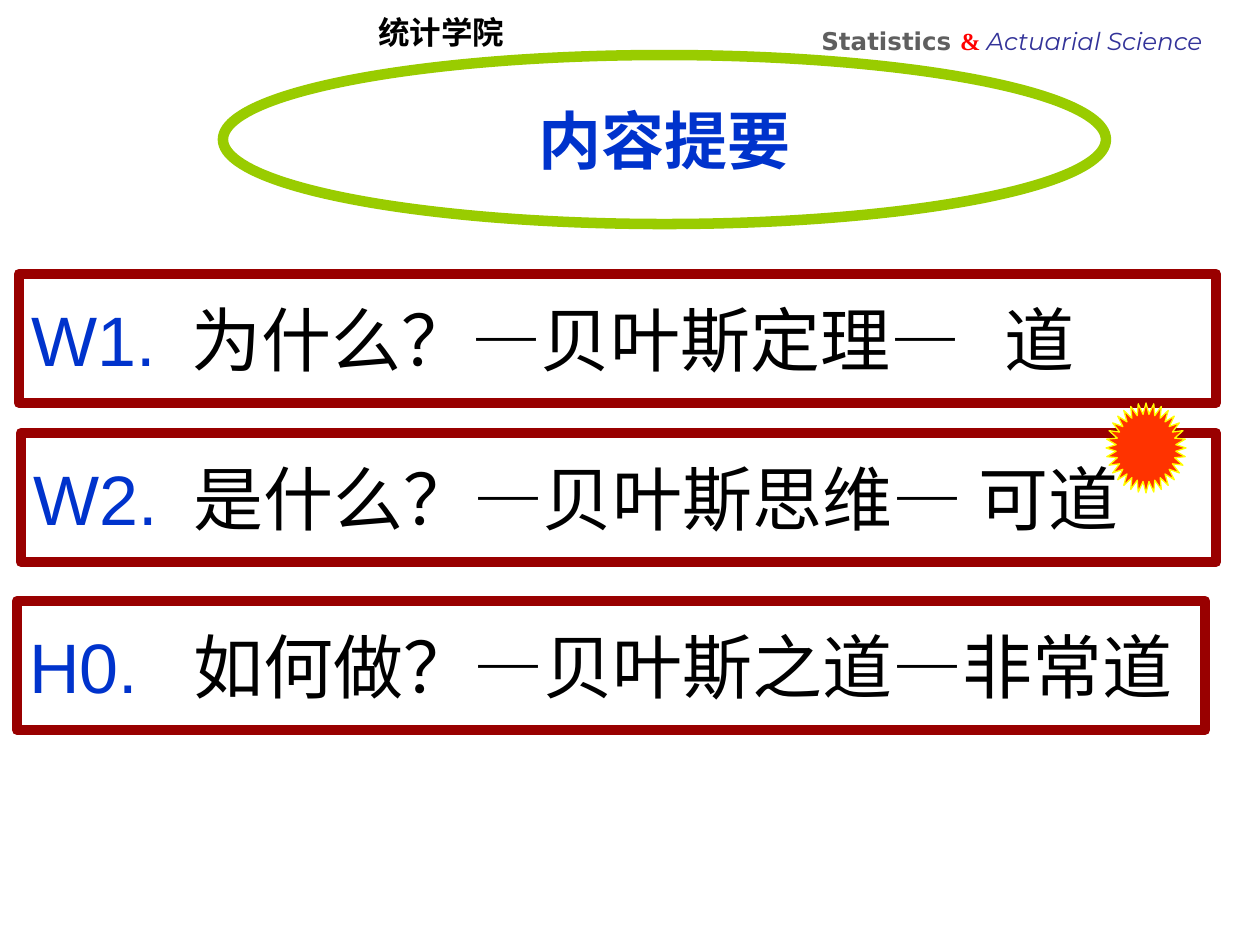
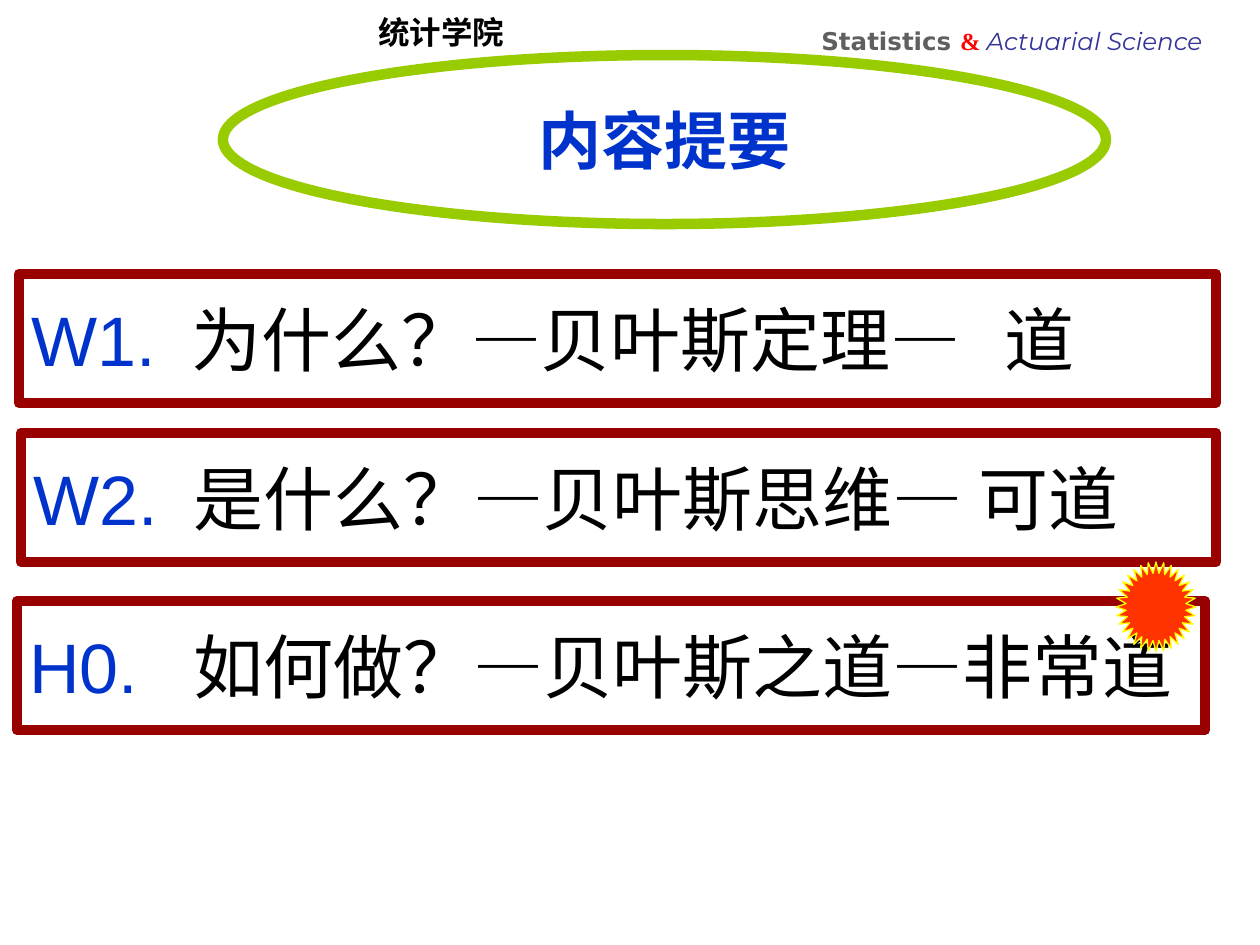
from lxml.etree import SubElement
from pptx import Presentation
from pptx.dml.color import RGBColor
from pptx.enum.shapes import MSO_SHAPE
from pptx.enum.text import MSO_ANCHOR, MSO_AUTO_SIZE, PP_ALIGN
from pptx.oxml.ns import qn
from pptx.util import Emu, Pt

SCALE = 914400 / 126
COLORS = {
    "blue": "0033CC",
    "black": "000000",
    "green": "99CC00",
    "dark red": "990000",
    "orange": "FF3300",
    "yellow": "FFFF00",
    "gray": "5F5F5F",
    "red": "FF0000",
    "indigo": "333399",
}

TITLE = "内容提要"
TITLE_BOX = (223, 55, 883, 169)
SCHOOL = "统计学院"
SCHOOL_BOX = (372, 9, 139, 45)
DEPARTMENT = [
    ("Statistics ", "DejaVu Sans", "gray", True, False),
    ("& ", "Times New Roman", "red", True, False),
    ("Actuarial Science", "Montserrat", "indigo", False, True),
]
DEPARTMENT_BOX = (809, 20, 426, 43)

ROW_HEIGHT = 129
TOPICS = [
    ("W1.", "为什么？—贝叶斯定理—\t道", (19, 274, 1197), (160, 973)),
    ("W2.", "是什么？—贝叶斯思维— 可道", (21, 433, 1195), (160,)),
    ("H0.", "如何做？—贝叶斯之道—非常道", (17, 601, 1188), (164,)),
]

BURST_SIZE = (80, 90)
BURST_POSITIONS = [(1106, 403), (1116, 562)]


def px(value):
    return Emu(round(value * SCALE))


def color(name):
    return RGBColor.from_string(COLORS[name])


def place(shape, box):
    shape.left, shape.top, shape.width, shape.height = map(px, box)


def style(font, size, name, color_name, bold=False, italic=False):
    font.size = Pt(size)
    font.name = name
    font.color.rgb = color(color_name)
    font.bold = bold
    font.italic = italic


def set_frame(shape, anchor=MSO_ANCHOR.MIDDLE, wrap=True):
    frame = shape.text_frame
    frame.auto_size = MSO_AUTO_SIZE.NONE
    frame.word_wrap = wrap
    frame.vertical_anchor = anchor
    return frame.paragraphs[0]


def add_figure(slide, kind, box, line, width, fill=None):
    shape = slide.shapes.add_shape(kind, *map(px, box))
    shape.shadow.inherit = False
    if fill:
        shape.fill.solid()
        shape.fill.fore_color.rgb = color(fill)
    else:
        shape.fill.background()
    shape.line.color.rgb = color(line)
    shape.line.width = Pt(width)
    return shape


def add_tabs(paragraph, positions):
    tabs = SubElement(paragraph._p.get_or_add_pPr(), qn("a:tabLst"))
    for position in positions:
        SubElement(tabs, qn("a:tab"), pos=str(px(position)), algn="l")


def add_header(slide):
    department = slide.shapes.add_textbox(*map(px, DEPARTMENT_BOX))
    paragraph = set_frame(department, MSO_ANCHOR.TOP)
    for text, font_name, color_name, bold, italic in DEPARTMENT:
        run = paragraph.add_run()
        run.text = text
        style(run.font, 14, font_name, color_name, bold, italic)

    school = slide.shapes.add_textbox(*map(px, SCHOOL_BOX))
    paragraph = set_frame(school, wrap=False)
    paragraph.text = SCHOOL
    paragraph.alignment = PP_ALIGN.CENTER
    style(paragraph.font, 18, "Arial", "black", bold=True)


def add_title(slide):
    add_figure(slide, MSO_SHAPE.OVAL, TITLE_BOX, "green", 6)
    title = slide.shapes.title
    place(title, TITLE_BOX)
    paragraph = set_frame(title)
    paragraph.text = TITLE
    paragraph.alignment = PP_ALIGN.CENTER
    style(paragraph.font, 36, "Arial", "blue", bold=True)


def add_topic(slide, label, text, position, tabs):
    row = add_figure(slide, MSO_SHAPE.RECTANGLE, (*position, ROW_HEIGHT), "dark red", 6)
    paragraph = set_frame(row)
    paragraph.alignment = PP_ALIGN.LEFT
    add_tabs(paragraph, tabs)
    for content, color_name in ((label + "\t", "blue"), (text, "black")):
        run = paragraph.add_run()
        run.text = content
        style(run.font, 40, "Arial", color_name)


def main():
    presentation = Presentation()
    presentation.slide_width, presentation.slide_height = px(1260), px(945)
    for burst_position in BURST_POSITIONS:
        slide = presentation.slides.add_slide(presentation.slide_layouts[5])
        add_header(slide)
        add_title(slide)
        for topic in TOPICS:
            add_topic(slide, *topic)
        burst_box = (*burst_position, *BURST_SIZE)
        add_figure(slide, MSO_SHAPE.STAR_32_POINT, burst_box, "yellow", 0.75, "orange")
    presentation.save("out.pptx")


if __name__ == "__main__":
    main()
